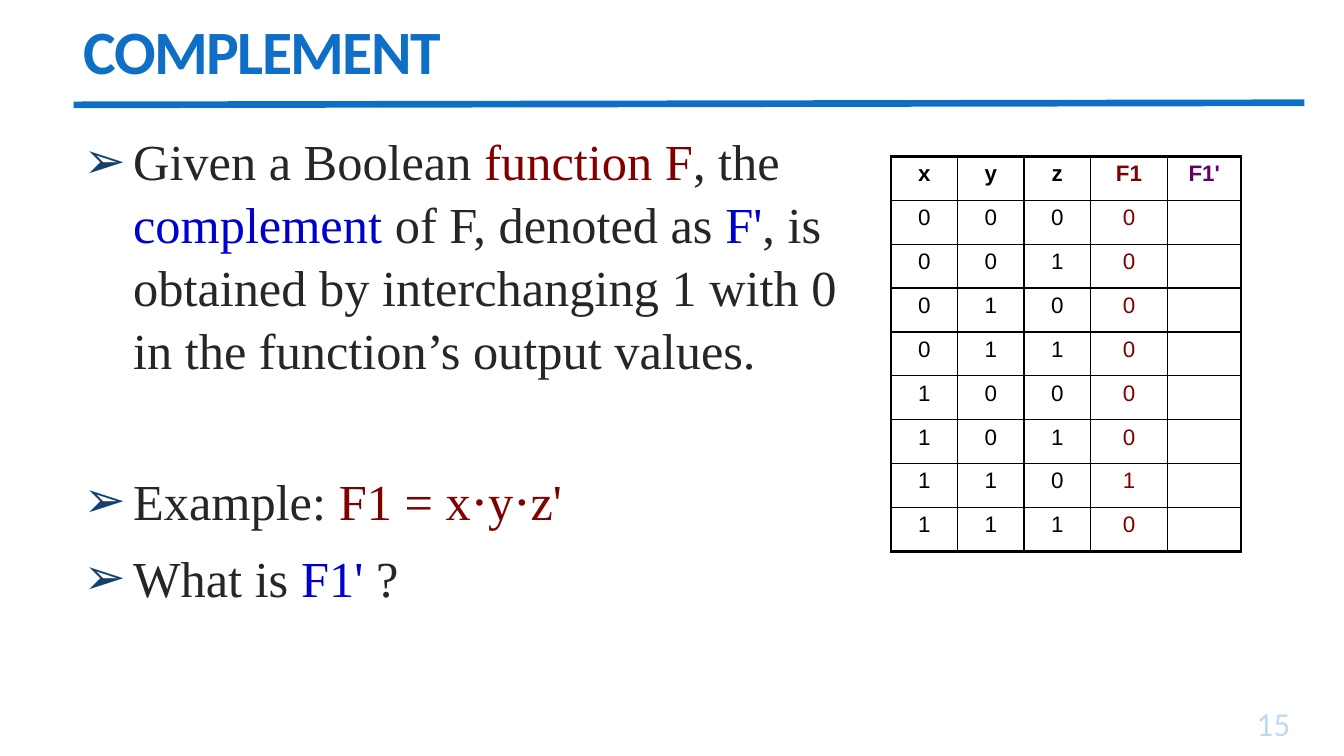
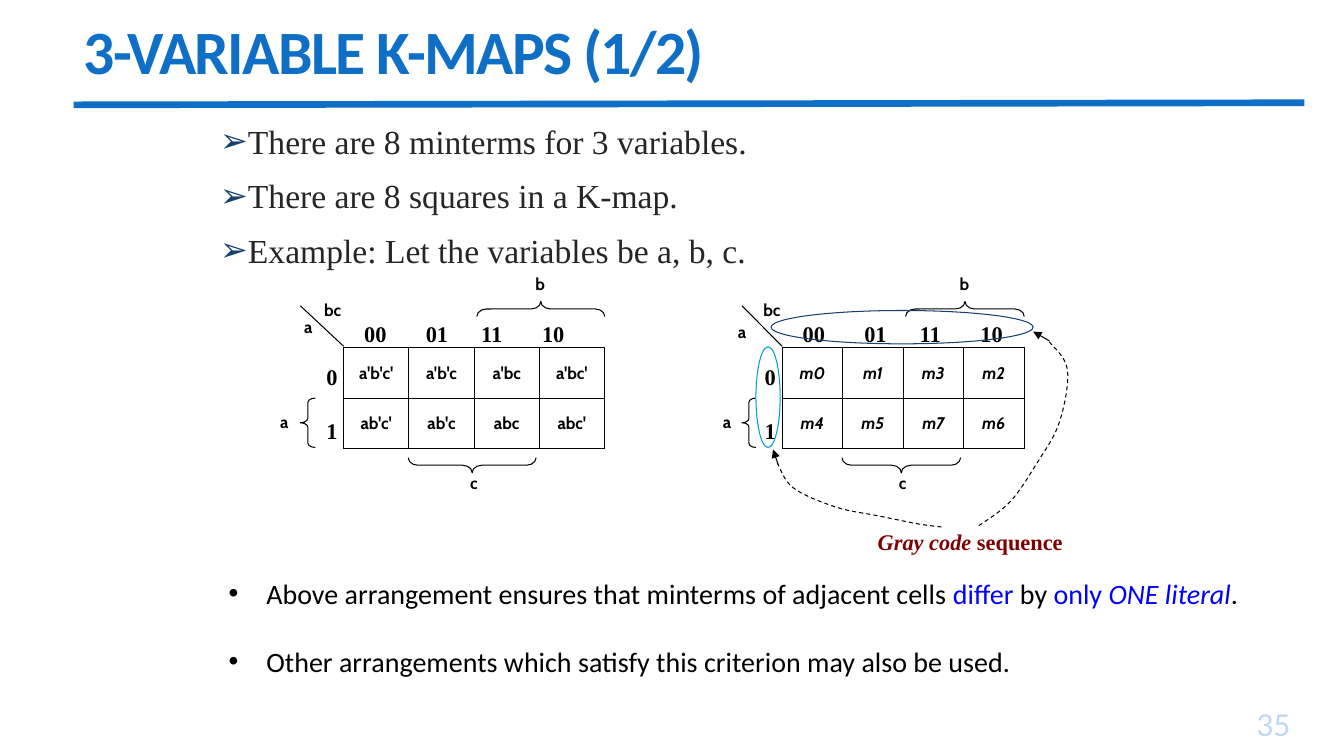
from dataclasses import dataclass

from lxml.etree import SubElement
from pptx import Presentation
from pptx.dml.color import RGBColor as RGB
from pptx.enum.dml import MSO_LINE as DASH
from pptx.enum.shapes import MSO_CONNECTOR as CONN, MSO_SHAPE as SHAPE
from pptx.enum.text import MSO_ANCHOR as ANCHOR, MSO_AUTO_SIZE as FIT, PP_ALIGN as ALIGN
from pptx.oxml.ns import qn
from pptx.util import Pt


@dataclass(frozen=True)
class Theme:
    accent: str = "0F6FC6"
    navy: str = "17406D"
    sky: str = "009DD9"
    ink: str = "262626"
    black: str = "000000"
    maroon: str = "800000"
    purple: str = "660066"
    blue: str = "0000CC"
    bright: str = "0000FF"
    sans: str = "Calibri"
    serif: str = "Times New Roman"
    grid: str = "Arial"
    label: str = "Cabin"
    title_size: float = 44
    large: float = 36
    medium: float = 24
    note: float = 20
    small: float = 16
    tiny: float = 12
    thin: float = 0.75
    rule: float = 4.75


T = Theme()


def pts(*values):
    return [Pt(v) for v in values]


def style(r, font, size, color=T.black, bold=False, italic=False):
    r.font.name = font
    r.font.size = Pt(size)
    r.font.bold = bold
    r.font.italic = italic
    r.font.color.rgb = RGB.from_string(color)


def add_runs(p, parts, font, size, color=T.black, bold=False):
    for text, *look in parts:
        r = p.add_run()
        r.text = text
        run_color = look[0] if look else color
        style(r, font, size, run_color, bold, "italic" in look)


def add_text(shapes, box, text, font, size, color=T.black, bold=False, align=None):
    tf = shapes.add_textbox(*pts(*box)).text_frame
    tf.word_wrap = True
    tf.text = text
    for p in tf.paragraphs:
        p.alignment = align
        for r in p.runs:
            style(r, font, size, color, bold)
    return tf


def add_label(shapes, box, text):
    return add_text(shapes, box, text, T.label, T.tiny, bold=True, align=ALIGN.CENTER)


def set_bullet(p, char, color, indent):
    pPr = p._p.get_or_add_pPr()
    pPr.set("marL", str(Pt(indent)))
    pPr.set("indent", str(-Pt(indent)))
    SubElement(SubElement(pPr, qn("a:buClr")), qn("a:srgbClr")).set("val", color)
    SubElement(pPr, qn("a:buFont")).set("typeface", "Arial")
    SubElement(pPr, qn("a:buChar")).set("char", char)


def fill_list(tf, items, char, bullet_color, indent, gaps, font, size, color, spacing=1):
    for i, (parts, gap) in enumerate(zip(items, gaps)):
        p = tf.add_paragraph() if i else tf.paragraphs[0]
        set_bullet(p, char, bullet_color, indent)
        p.space_before = Pt(gap)
        p.line_spacing = spacing
        add_runs(p, parts, font, size, color)


def set_line(shape, color=T.black, width=T.thin):
    shape.line.color.rgb = RGB.from_string(color)
    shape.line.width = Pt(width)


def add_line(shapes, start, end, color=T.black, width=T.thin, arrow=False):
    line = shapes.add_connector(CONN.STRAIGHT, *pts(*start, *end))
    set_line(line, color, width)
    if arrow:
        SubElement(line.line._get_or_add_ln(), qn("a:tailEnd")).set("type", "triangle")
    SubElement(line._element.spPr, qn("a:effectLst"))
    return line


def outline(shape, color=T.black):
    shape.shadow.inherit = False
    shape.fill.background()
    set_line(shape, color)
    return shape


def add_brace(shapes, center, width, length, bend, rotation=0):
    x, y = center
    box = pts(x - width / 2, y - length / 2, width, length)
    brace = outline(shapes.add_shape(SHAPE.LEFT_BRACE, *box))
    brace.adjustments[0] = bend
    brace.rotation = rotation


def add_curve(shapes, knots, steps=8):
    padded = [knots[0], *knots, knots[-1]]
    points = []
    for a, b, c, d in zip(padded, padded[1:], padded[2:], padded[3:]):
        for n in range(1, steps + 1):
            t = n / steps
            points.append(pts(*(
                q + t / 2 * (r - o + t * (2 * o - 5 * q + 4 * r - e + t * (3 * q - 3 * r + e - o)))
                for o, q, r, e in zip(a, b, c, d))))
    builder = shapes.build_freeform(*pts(*knots[0]))
    builder.add_line_segments(points, close=False)
    outline(builder.convert_to_shape()).line.dash_style = DASH.DASH


def set_borders(cell, widths):
    tcPr = cell._tc.get_or_add_tcPr()
    for i, (side, width) in enumerate(zip("LRTB", widths)):
        ln = SubElement(tcPr, qn("a:ln" + side))
        ln.set("w", str(Pt(width)))
        SubElement(SubElement(ln, qn("a:solidFill")), qn("a:srgbClr")).set("val", T.black)
        tcPr.insert(i, ln)


def add_grid(s, origin, widths, row_height, rows, inner, outer, anchor, look):
    size = len(rows), len(widths)
    box = pts(*origin, sum(widths), row_height * len(rows))
    table = s.shapes.add_table(*size, *box).table
    table.first_row = table.horz_banding = False
    for column, width in zip(table.columns, widths):
        column.width = Pt(width)
    for i, row in enumerate(rows):
        table.rows[i].height = Pt(row_height)
        for j, text in enumerate(row):
            cell = table.cell(i, j)
            cell.fill.background()
            edges = j == 0, j == size[1] - 1, i == 0, i == size[0] - 1
            set_borders(cell, [outer if edge else inner for edge in edges])
            cell.vertical_anchor = anchor
            cell.margin_left = cell.margin_right = Pt(2)
            p = cell.text_frame.paragraphs[0]
            p.text = text
            p.alignment = ALIGN.CENTER
            for r in p.runs:
                style(r, **look(i, j))


def prepare_layout(prs):
    layout = prs.slide_layouts[1]
    title = layout.placeholders[0]
    title.left, title.top, title.width, title.height = pts(52.6, 5.8, 848.2, 67.7)
    return layout


def add_slide(prs, layout, title, number, body_box):
    s = prs.slides.add_slide(layout)
    if len(prs.slides) == 1:
        rule = add_line(s.shapes, (52.6, 74.9), (931.7, 73.4), T.accent, T.rule)
        layout.shapes.element.append(rule.element)
    tf = s.shapes.title.text_frame
    tf.text = title
    tf.auto_size = FIT.NONE
    tf.vertical_anchor = ANCHOR.MIDDLE
    p = tf.paragraphs[0]
    p.alignment = ALIGN.LEFT
    p.line_spacing = 0.85
    style(p.runs[0], T.sans, T.title_size, T.accent, bold=True)
    p.runs[0]._r.get_or_add_rPr().set("spc", "-120")
    tf = add_text(s.shapes, (835.2, 504, 93.6, 30.2), number, T.sans, T.medium, T.accent,
                  align=ALIGN.RIGHT)
    tf.vertical_anchor = ANCHOR.BOTTOM
    color = tf.paragraphs[0].runs[0]._r.find(".//" + qn("a:srgbClr"))
    SubElement(color, qn("a:alpha")).set("val", "25000")
    body = s.placeholders[1]
    body.left, body.top, body.width, body.height = pts(*body_box)
    body.text_frame.auto_size = FIT.NONE
    return s, body.text_frame


def add_truth_table(s, origin):
    inputs = [f"{n:03b}" for n in range(8)]
    rows = [["x", "y", "z", "F1", "F1'"]]
    rows += [[*bits, "1" if bits == "110" else "0", ""] for bits in inputs]
    colors = [T.black] * 3 + [T.maroon, T.purple]
    add_grid(s, origin, [47.5, 47.5, 47.5, 55, 52.5], 31.4, rows, 1, 2.25, ANCHOR.TOP,
             lambda i, j: dict(font=T.grid, size=T.small, color=colors[j], bold=i == 0))


def add_kmap(s, origin, cell, rows, corner, italic=False):
    x, y = origin
    k = cell / 46.6
    add_grid(s, origin, [cell] * 4, 36, rows, T.thin, T.thin, ANCHOR.MIDDLE,
             lambda i, j: dict(font=T.label, size=T.tiny, bold=True, italic=italic))
    shapes = s.shapes.add_group_shape().shapes
    labels = [("a", -59.8, 41.8, 34.6), ("b", 123.1, -56.2, 34.6), ("c", 75.6, 85.7, 34.6),
              ("bc", -28, -38.2, 40.3), ("a", *corner, 34.6)]
    for text, dx, dy, width in labels:
        add_label(shapes, (x + dx * k, y + dy, width * k, 23), text)
    add_brace(shapes, (x - 25.6 * k, y + 53.6), 10.8 * k, 35.3, 0.29)
    add_brace(shapes, (x + 140.8 * k, y - 27.7), 10.8, 91.4 * k, 0.63, 90)
    add_brace(shapes, (x + 91.8 * k, y + 83.9), 10.8, 91.4 * k, 0.63, 270)
    add_line(shapes, (x, y - 1), (x - 31 * k, y - 30))
    tf = add_text(shapes, (x - 23.8 * k, y + 7.2, 26.6 * k, 61.2), "0\n1", T.serif, T.small,
                  bold=True, align=ALIGN.RIGHT)
    tf.paragraphs[1].space_before = Pt(19.4)
    tf = add_text(shapes, (x + 7.6, y - 23, 174 * k, 28.8), "00\t01\t11\t10", T.serif, T.small,
                  bold=True)
    tabs = SubElement(tf.paragraphs[0]._p.get_or_add_pPr(), qn("a:tabLst"))
    for position in (44, 83.5, 127):
        tab = SubElement(tabs, qn("a:tab"))
        tab.set("pos", str(Pt(position)))
        tab.set("algn", "l")


def add_gray_code_note(s, origin):
    x, y = origin
    shapes = s.shapes.add_group_shape().shapes
    arrows = [((-2.9, 83.5), (-6.5, 72.7)), ((190.8, -5), (179.3, -11.5))]
    for start, end in arrows:
        add_line(shapes, *((x + dx, y + dy) for dx, dy in (start, end)), arrow=True)
    ovals = [(-18.7, -0.7, 17.3, 72, T.sky), (-7.9, -26.6, 187.2, 23.8, T.navy)]
    for dx, dy, width, height, color in ovals:
        oval = shapes.add_shape(SHAPE.OVAL, *pts(x + dx, y + dy, width, height))
        outline(oval, color)
    curves = [
        [(190.8, -4.3), (203.8, 15.8), (198, 53.3), (182.2, 82.1), (162.7, 110.2), (139, 128.2)],
        [(-3.6, 82.1), (7.9, 100.1), (38.2, 113.8), (69.1, 120.2), (97.9, 126), (115.2, 128.2)],
    ]
    for knots in curves:
        add_curve(shapes, [(x + dx, y + dy) for dx, dy in knots])
    tf = shapes.add_textbox(*pts(x + 61.2, y + 125.3, 187.2, 28.8)).text_frame
    tf.word_wrap = True
    add_runs(tf.paragraphs[0], [("Gray code", T.maroon, "italic"), (" sequence",)],
             T.serif, T.small, T.maroon, bold=True)


def build_complement(prs, layout):
    s, tf = add_slide(prs, layout, "COMPLEMENT", "15", (52.6, 87.8, 583.9, 374.4))
    items = [
        [("Given a Boolean ",), ("function F", T.maroon), (", the ",), ("complement", T.blue),
         (" of F, denoted as ",), ("F'", T.blue),
         (", is obtained by interchanging 1 with 0 in the function’s output values.",)],
        [("Example: ",), ("F1 = x⋅y⋅z'", T.maroon)],
        [("What is ",), ("F1' ", T.blue), ("?",)],
    ]
    fill_list(tf, items, "➢", T.navy, 35.3, (0, 63, 10), T.serif, T.large, T.ink, 1.04)
    add_truth_table(s, (636.5, 111.6))


def build_kmaps(prs, layout):
    s, tf = add_slide(prs, layout, "3-VARIABLE K-MAPS (1/2)", "35", (149.8, 82.8, 648, 115.2))
    items = [[("There are 8 minterms for 3 variables.",)],
             [("There are 8 squares in a K-map.",)],
             [("Example: Let the variables be a, b, c.",)]]
    fill_list(tf, items, "➢", T.navy, 20, (0, 10, 10), T.serif, T.medium, T.ink)
    products = [["a'b'c'", "a'b'c", "a'bc", "a'bc'"], ["ab'c'", "ab'c", "abc", "abc'"]]
    minterms = [["m0", "m1", "m3", "m2"], ["m4", "m5", "m7", "m6"]]
    right_map = 558.7, 248.4
    add_kmap(s, (245.5, 248.4), 46.6, products, (-42.5, -25.9))
    add_kmap(s, right_map, 43.2, minterms, (-48.2, -22.3), italic=True)
    add_gray_code_note(s, right_map)
    tf = s.shapes.add_textbox(*pts(156.2, 408.2, 738.7, 71.3)).text_frame
    tf.word_wrap = True
    notes = [
        [("Above arrangement ensures that minterms of adjacent cells ",), ("differ ", T.bright),
         ("by",), (" only ", T.bright), ("ONE literal", T.bright, "italic"), (".",)],
        [("Other arrangements which satisfy this criterion may also be used.",)],
    ]
    fill_list(tf, notes, "•", T.black, 27, (0, 24.4), T.sans, T.note, T.black)


def main():
    prs = Presentation()
    prs.slide_width, prs.slide_height = pts(960, 540)
    layout = prepare_layout(prs)
    build_complement(prs, layout)
    build_kmaps(prs, layout)
    prs.save("out.pptx")


if __name__ == "__main__":
    main()
